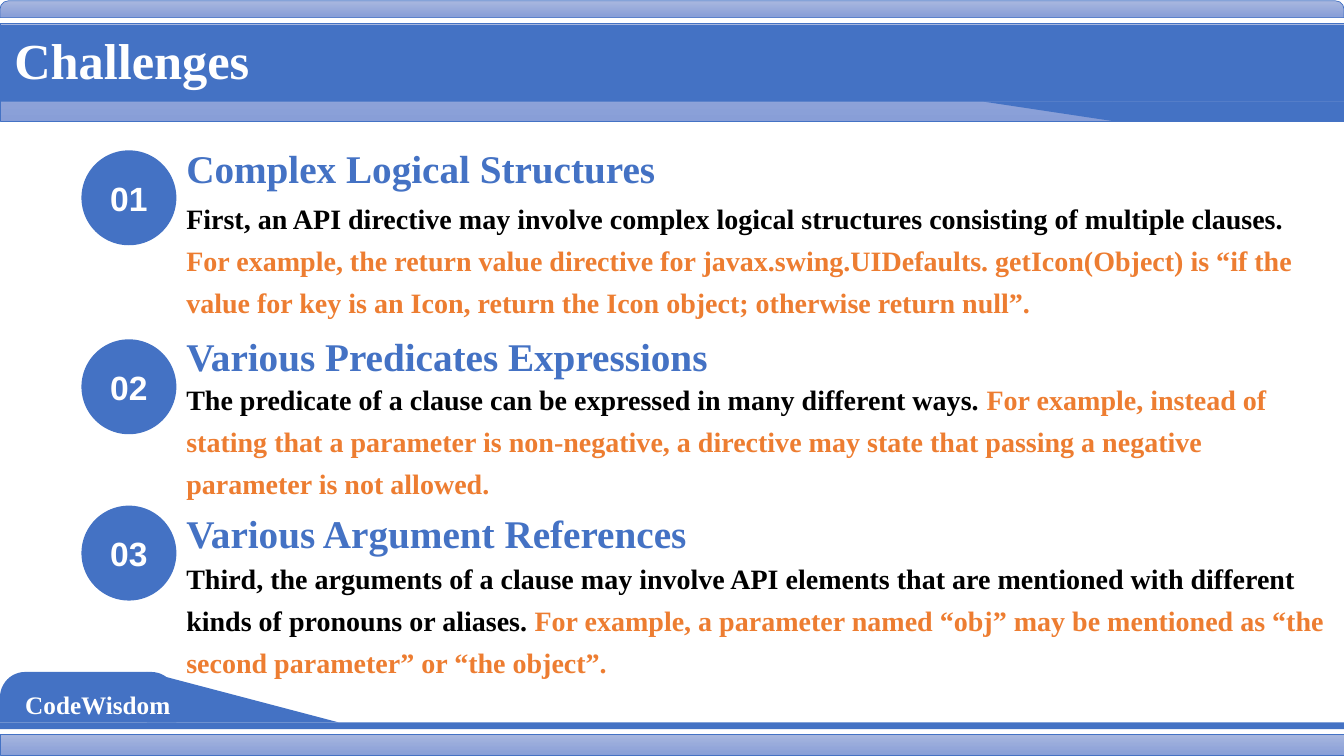
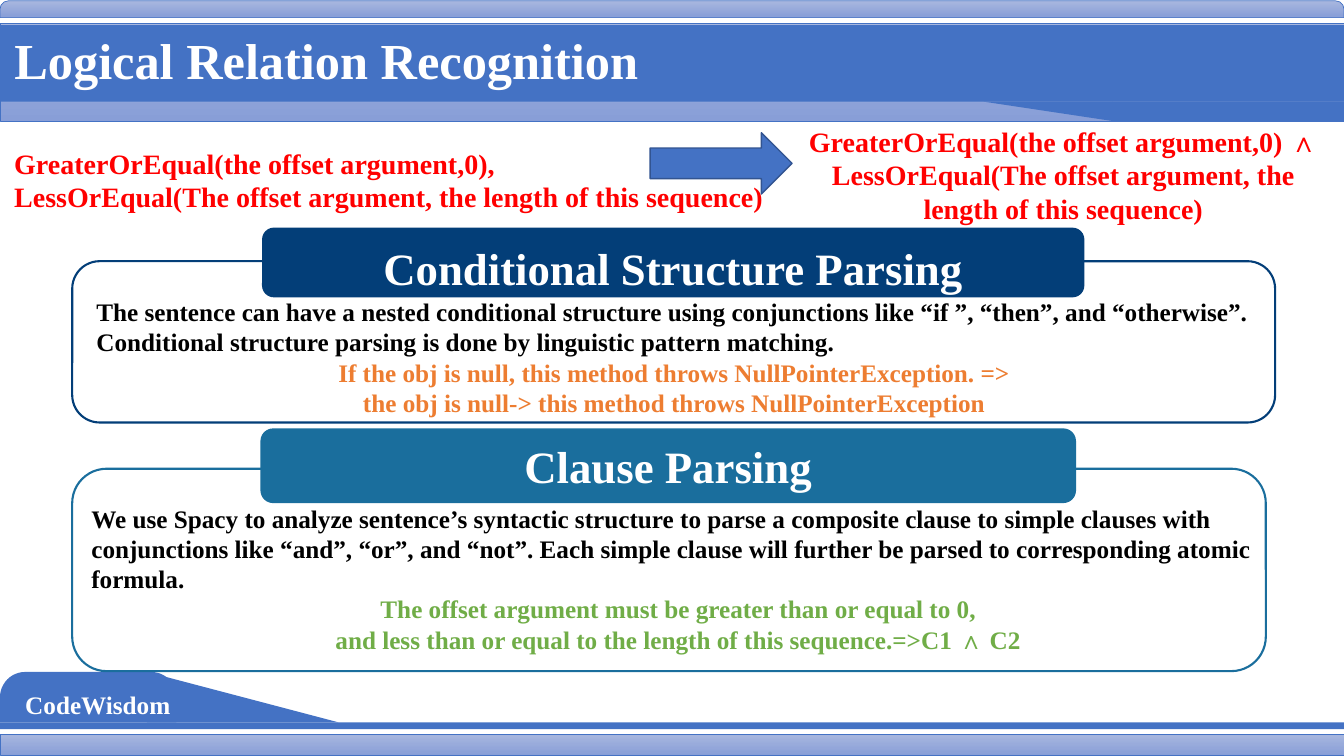
from dataclasses import dataclass

from pptx import Presentation
from pptx.dml.color import RGBColor
from pptx.enum.shapes import MSO_SHAPE as Shape
from pptx.enum.text import MSO_ANCHOR as Anchor, MSO_AUTO_SIZE as AutoSize, PP_ALIGN as Align
from pptx.util import Inches, Pt

COLUMNS, ROWS = 16, 9
CELL = 7.5 / ROWS
TITLE_ONLY = 5


@dataclass(frozen=True)
class Theme:
    serif: str = "Times New Roman"
    sans: str = "Arial"
    blue: str = "4472C4"
    blue_edge: str = "325491"
    pale_top: str = "A8B7DF"
    pale_bottom: str = "889ED7"
    navy: str = "033E78"
    teal: str = "1A6E9D"
    orange: str = "ED7D31"
    green: str = "70AD47"
    red: str = "FF0000"
    black: str = "000000"
    white: str = "FFFFFF"
    title_size: int = 36
    banner_size: int = 32
    heading_size: int = 28
    number_size: int = 24
    body_size: int = 20
    small_size: int = 18


THEME = Theme()


@dataclass(frozen=True)
class Line:
    """One paragraph: pairs of text and colour, and its alignment."""
    runs: tuple
    align: Align = Align.LEFT


def line(text, color, align=Align.LEFT):
    return Line(((text, color),), align)


def cells(*values):
    """Turn columns or rows of the square grid into lengths."""
    return [Inches(value * CELL) for value in values]


class Deck:
    def __init__(self):
        self.presentation = Presentation()
        self.presentation.slide_width, self.presentation.slide_height = cells(COLUMNS, ROWS)
        self.layout = self.presentation.slide_layouts[TITLE_ONLY]
        self.slide = None

    def new_slide(self, title):
        self.slide = self.presentation.slides.add_slide(self.layout)
        if len(self.presentation.slides) == 1:
            self.share_bands()
        placeholder = self.slide.shapes.title
        placeholder.left, placeholder.top, placeholder.width, placeholder.height = cells(
            0.05, 0.29, 15.13, 0.85)
        self.fill_text(placeholder.text_frame, [line(title, THEME.white)], THEME.title_size)

    def share_bands(self):
        """Draw the bands and footer once and hand them to the layout."""
        blue, pale = THEME.blue, (THEME.pale_top, THEME.pale_bottom)
        rounded, triangle = Shape.ROUND_2_SAME_RECTANGLE, Shape.RIGHT_TRIANGLE
        top_strip = self.shape(rounded, (0, 0.01, COLUMNS, 0.2), pale, blue, 0.5)
        header_edge = self.shape(Shape.RECTANGLE, (0, 0.28, COLUMNS, 1.16), pale, blue, 0.5)
        header = self.shape(Shape.RECTANGLE, (0, 0.3, COLUMNS, 0.91), blue)
        header_slope = self.shape(triangle, (11.71, 1.21, 1.53, 0.23), blue)
        header_slope.rotation = 180
        header_end = self.shape(Shape.RECTANGLE, (13.24, 1.21, 2.76, 0.23), blue)
        bottom_strip = self.shape(Shape.RECTANGLE, (0, 8.74, COLUMNS, 0.25), pale, blue, 0.5)
        footer_rule = self.shape(Shape.RECTANGLE, (0, 8.6, COLUMNS, 0.08), blue)
        footer_tab = self.shape(rounded, (0, 8, 2.1, 0.6), blue)
        for tab in (top_strip, footer_tab):
            tab.adjustments[0] = 0.5
        footer_slope = self.shape(triangle, (1.75, 8, 2.28, 0.6), blue)
        footer = self.text((0.05, 8.15, 2.23, 0.48),
                           [line("CodeWisdom", THEME.white, Align.CENTER)], THEME.small_size)
        shared = (top_strip, header_edge, header, header_slope, header_end, bottom_strip,
                  footer_rule, footer_tab, footer_slope, footer)
        for number, shape in enumerate(shared, start=100):
            shape.element.nvSpPr.cNvPr.set("id", str(number))
            self.layout.shapes.element.append(shape.element)

    def shape(self, kind, box, fill=None, edge=None, edge_width=1.0):
        """Add a preset shape; a pair of fill colours makes a vertical gradient."""
        shape = self.slide.shapes.add_shape(kind, *cells(*box))
        shape.shadow.inherit = False
        if fill is None:
            shape.fill.background()
        elif isinstance(fill, tuple):
            shape.fill.gradient()
            shape.fill.gradient_angle = 270
            for stop, color in zip(shape.fill.gradient_stops, fill):
                stop.color.rgb = RGBColor.from_string(color)
        else:
            shape.fill.solid()
            shape.fill.fore_color.rgb = RGBColor.from_string(fill)
        if edge is None:
            shape.line.fill.background()
        else:
            shape.line.color.rgb = RGBColor.from_string(edge)
            shape.line.width = Pt(edge_width)
        return shape

    def fill_text(self, frame, lines, size, font=THEME.serif, spacing=1.0, anchor=Anchor.TOP):
        frame.word_wrap = True
        frame.auto_size = AutoSize.NONE
        frame.vertical_anchor = anchor
        for index, content in enumerate(lines):
            paragraph = frame.add_paragraph() if index else frame.paragraphs[0]
            paragraph.alignment = content.align
            paragraph.line_spacing = spacing
            paragraph.font.name = font
            paragraph.font.size = Pt(size)
            paragraph.font.bold = True
            for text, color in content.runs:
                run = paragraph.add_run()
                run.text = text
                run.font.color.rgb = RGBColor.from_string(color)

    def text(self, box, lines, size, spacing=1.0):
        shape = self.slide.shapes.add_textbox(*cells(*box))
        self.fill_text(shape.text_frame, lines, size, spacing=spacing)
        return shape

    def challenge(self, number, heading, lines, circle_top, heading_top, body_top):
        circle = self.shape(Shape.OVAL, (0.97, circle_top, 1.13, 1.13), THEME.blue)
        self.fill_text(circle.text_frame, [line(f"{number:02}", THEME.white, Align.CENTER)],
                       THEME.number_size, THEME.sans, anchor=Anchor.MIDDLE)
        left, width = 2.1, 13.9
        self.text((left, body_top, width, 1.65), lines, THEME.body_size, spacing=1.25)
        self.text((left, heading_top, width, 0.68), [line(heading, THEME.blue)],
                  THEME.heading_size)

    def panel(self, heading, color, frame_box, banner_box, body_box, lines, heading_drop=0):
        """Add an outlined frame with a filled banner on its top edge."""
        frame = self.shape(Shape.ROUNDED_RECTANGLE, frame_box, edge=color, edge_width=1.5)
        frame.adjustments[0] = 0.17
        banner = self.shape(Shape.ROUNDED_RECTANGLE, banner_box, color)
        banner.adjustments[0] = 0.17
        banner.text_frame.margin_top, banner.text_frame.margin_bottom = cells(heading_drop, 0)
        self.fill_text(banner.text_frame, [line(heading, THEME.white, Align.CENTER)],
                       THEME.banner_size, anchor=Anchor.MIDDLE)
        self.text(body_box, lines, THEME.small_size)


def build_challenges(deck):
    deck.new_slide("Challenges")
    deck.challenge(1, "Complex Logical Structures", [
        line("First, an API directive may involve complex logical structures consisting of "
             "multiple clauses.", THEME.black),
        line("For example, the return value directive for javax.swing.UIDefaults. "
             "getIcon(Object) is “if the value for key is an Icon, return the Icon object; "
             "otherwise return null”.", THEME.orange),
    ], 1.79, 1.66, 2.24)
    deck.challenge(2, "Various Predicates Expressions", [Line((
        ("The predicate of a clause can be expressed in many different ways. ", THEME.black),
        ("For example, instead of stating that a parameter is non-negative, a directive may "
         "state that passing a negative parameter is not allowed.", THEME.orange),
    ))], 4.04, 3.9, 4.39)
    deck.challenge(3, "Various Argument References", [Line((
        ("Third, the arguments of a clause may involve API elements that are mentioned with "
         "different kinds of pronouns or aliases. ", THEME.black),
        ("For example, a parameter named “obj” may be mentioned as “the second parameter” or "
         "“the object”.", THEME.orange),
    ))], 6.02, 6, 6.53)


def build_recognition(deck):
    deck.new_slide("Logical Relation Recognition")
    deck.panel(
        "Conditional Structure Parsing", THEME.navy,
        (0.86, 3.11, 14.32, 1.92), (3.12, 2.71, 9.79, 0.83), (1.03, 3.47, 13.99, 1.57), [
            line("The sentence can have a nested conditional structure using conjunctions like "
                 "“if ”, “then”, and “otherwise”. Conditional structure parsing is done by "
                 "linguistic pattern matching.", THEME.black),
            line("If the obj is null, this method throws NullPointerException. =>",
                 THEME.orange, Align.CENTER),
            line("the obj is null-> this method throws NullPointerException",
                 THEME.orange, Align.CENTER),
        ], heading_drop=0.13)
    deck.panel(
        "Clause Parsing", THEME.teal,
        (0.86, 5.58, 14.21, 2.41), (3.1, 5.1, 9.71, 0.89), (0.97, 5.93, 14.21, 1.94), [
            line("We use Spacy to analyze sentence’s syntactic structure to parse a composite "
                 "clause to simple clauses with conjunctions like “and”, “or”, and “not”. Each "
                 "simple clause will further be parsed to corresponding atomic formula.",
                 THEME.black),
            line("The offset argument must be greater than or equal to 0,",
                 THEME.green, Align.CENTER),
            line("and less than or equal to the length of this sequence.=>C1 ∧ C2",
                 THEME.green, Align.CENTER),
        ])
    deck.text((0.05, 1.68, 9.18, 0.92), [
        line("GreaterOrEqual(the offset argument,0),", THEME.red),
        line("LessOrEqual(The offset argument, the length of this sequence)", THEME.red),
    ], THEME.body_size)
    deck.shape(Shape.RIGHT_ARROW, (7.74, 1.58, 1.69, 0.73), THEME.blue, THEME.blue_edge)
    deck.text((9.42, 1.42, 6.48, 1.33), [
        line("GreaterOrEqual(the offset argument,0) ∧ LessOrEqual(The offset argument, the "
             "length of this sequence)", THEME.red, Align.CENTER),
    ], THEME.body_size)


def main():
    deck = Deck()
    build_challenges(deck)
    build_recognition(deck)
    deck.presentation.save("out.pptx")


if __name__ == "__main__":
    main()
